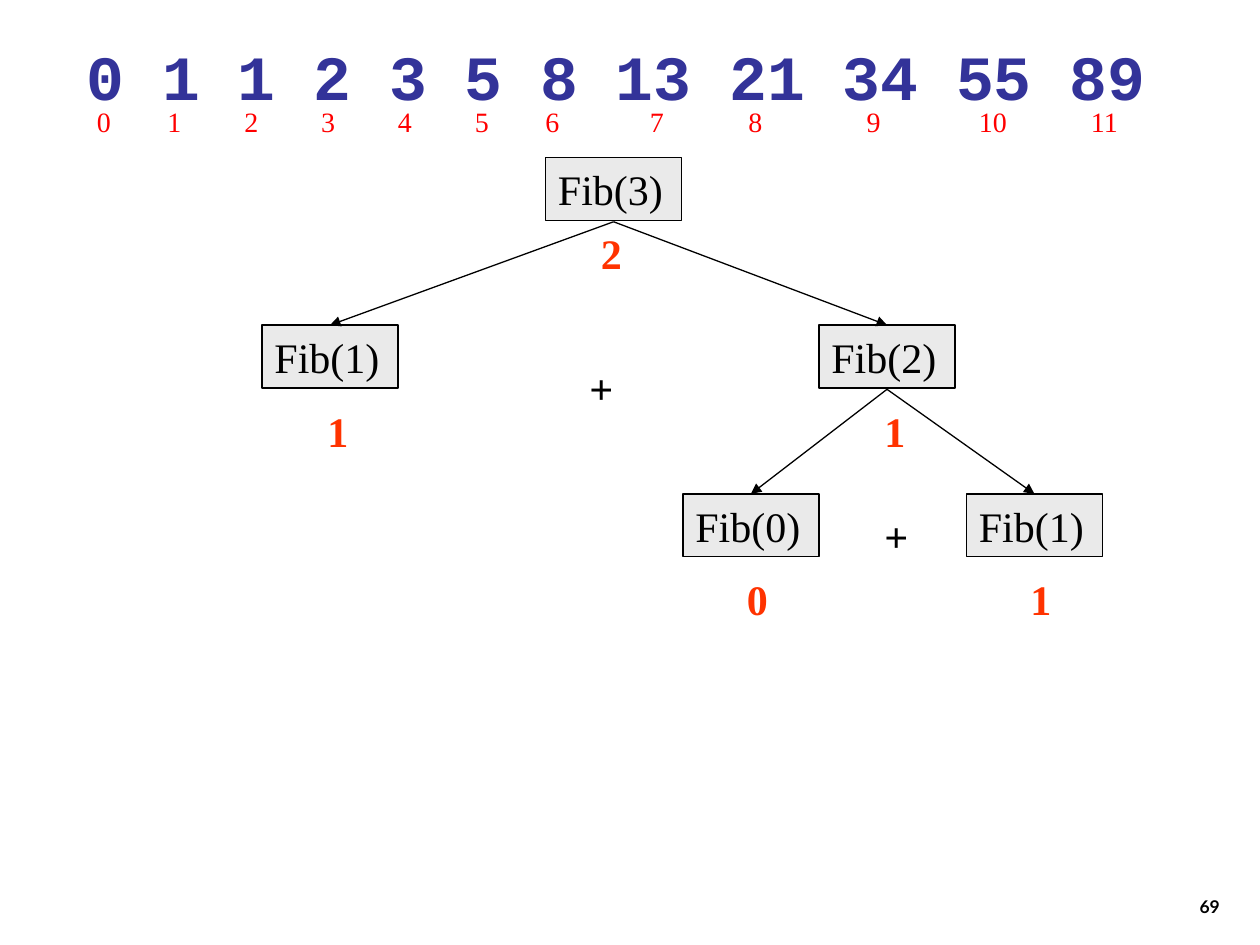
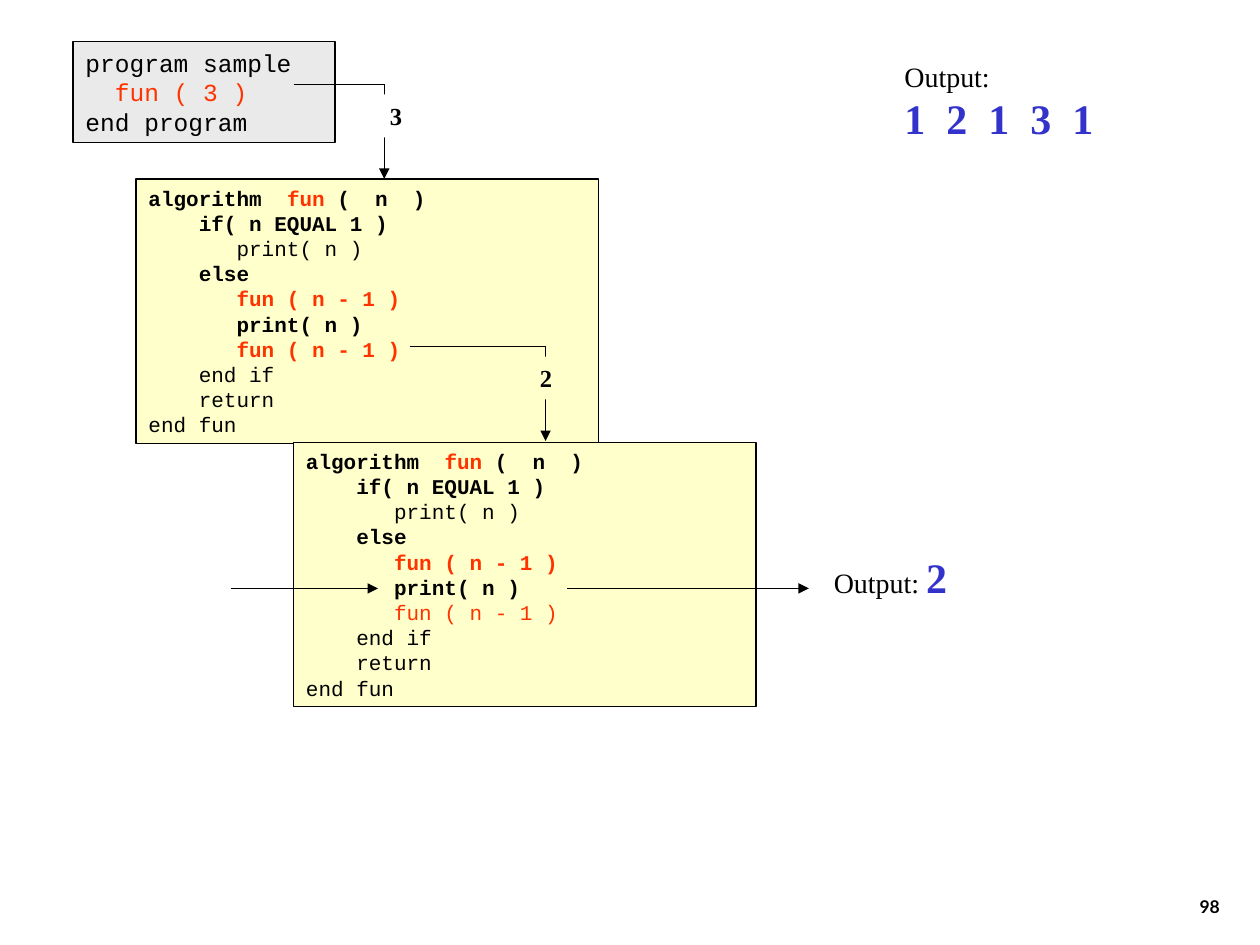
import pptx
import pptx.dml.color
import pptx.enum.shapes
import pptx.enum.text
import pptx.oxml.ns
import pptx.util
from lxml import etree

Inches = pptx.util.Inches
ALIGN = pptx.enum.text.PP_ALIGN
ANCHOR = pptx.enum.text.MSO_ANCHOR
qn = pptx.oxml.ns.qn

BLACK, WHITE = "000000", "FFFFFF"
GREY, CREAM = "EAEAEA", "FFFFCC"
ORANGE, RED = "FF3300", "FF0000"
NAVY, BLUE = "333399", "3333CC"
SERIF, MONO, SANS = "Times New Roman", "Courier New", "Lato"


def rgb(value):
    return pptx.dml.color.RGBColor.from_string(value)


def run(text, color=BLACK, size=24, name=SERIF, bold=False):
    """A piece of text with its format values."""
    return text, color, {"size": pptx.util.Pt(size), "name": name, "bold": bold}


class Deck:
    """Holds the shared style and the current slide."""

    def __init__(self, width, height):
        self.prs = pptx.Presentation()
        self.prs.slide_width = Inches(width)
        self.prs.slide_height = Inches(height)

    def new_slide(self, number):
        self.s = self.prs.slides.add_slide(self.prs.slide_layouts[6])
        self.text([[run(number, size=10, name=SANS, bold=True)]],
                  7.7, 6.83, 2.08, 0.5, align=ALIGN.RIGHT, anchor=ANCHOR.BOTTOM)

    def fill_text(self, sp, lines, align=ALIGN.LEFT, anchor=ANCHOR.TOP,
                  wrap=True, tabs=()):
        tf = sp.text_frame
        frame = {"word_wrap": wrap, "vertical_anchor": anchor,
                 "margin_left": Inches(0.1), "margin_right": Inches(0.1),
                 "margin_top": Inches(0.05), "margin_bottom": Inches(0.05)}
        for key, value in frame.items():
            setattr(tf, key, value)
        for i, runs in enumerate(lines):
            p = tf.add_paragraph() if i else tf.paragraphs[0]
            p.alignment = align
            if tabs:
                tab_list = etree.SubElement(p._p.get_or_add_pPr(), qn("a:tabLst"))
                for pos in tabs:
                    etree.SubElement(tab_list, qn("a:tab"),
                                     pos=str(Inches(pos)), algn="l")
            for text, color, fmt in runs:
                r = p.add_run()
                r.text = text
                for key, value in fmt.items():
                    setattr(r.font, key, value)
                r.font.color.rgb = rgb(color)

    def text(self, lines, x, y, w, h, **layout):
        sp = self.s.shapes.add_textbox(Inches(x), Inches(y), Inches(w), Inches(h))
        self.fill_text(sp, lines, **layout)

    def box(self, lines, x, y, w, h, fill, border=True, **layout):
        sp = self.s.shapes.add_shape(pptx.enum.shapes.MSO_SHAPE.RECTANGLE,
                                     Inches(x), Inches(y), Inches(w), Inches(h))
        sp.shadow.inherit = False
        sp.fill.solid()
        sp.fill.fore_color.rgb = rgb(fill)
        if border:
            sp.line.color.rgb = rgb(BLACK)
            sp.line.width = pptx.util.Pt(0.75)
        else:
            sp.line.fill.background()
        self.fill_text(sp, lines, **layout)

    def line(self, x1, y1, x2, y2, arrow=True):
        cn = self.s.shapes.add_connector(
            pptx.enum.shapes.MSO_CONNECTOR.STRAIGHT,
            Inches(x1), Inches(y1), Inches(x2), Inches(y2))
        cn.line.color.rgb = rgb(BLACK)
        cn.line.width = pptx.util.Pt(0.75)
        if arrow:
            etree.SubElement(cn.line._get_or_add_ln(), qn("a:tailEnd"), type="triangle")
        etree.SubElement(cn._element.spPr, qn("a:effectLst"))

    def call(self, x1, x2, y, value, label_x, label_w, fill):
        """Bent arrow from a call to the called code, with the passed value."""
        self.line(x1, y, x2, y, arrow=False)
        self.line(x2, y, x2, y + 0.75)
        self.box([[run(value, size=14, bold=True)]], label_x, y + 0.08, label_w, 0.34,
                 fill, border=False, align=ALIGN.RIGHT)


def fun_code(last_call_bold):
    """Lines of the recursive algorithm."""
    def code(text, color=BLACK, bold=False):
        return run(text, color, 12, MONO, bold)

    return [
        [code("algorithm  ", bold=True), code("fun ", ORANGE, True),
         code("(  n  )", bold=True)],
        [code("    if( n EQUAL 1 )", bold=True)],
        [code("       print( n )")],
        [code("    else", bold=True)],
        [code("       fun ( n - 1 )", ORANGE, True)],
        [code("       print( n )", bold=True)],
        [code("       fun ( n - 1 )", ORANGE, last_call_bold)],
        [code("    end if")],
        [code("    return")],
        [code("end fun")],
    ]


def fibonacci_tree(deck):
    deck.new_slide("69")

    # Sequence with its indices
    deck.text([[run("0 1 1 2 3 5 8 13 21 34 55 89", NAVY, 36, MONO, True)]],
              0.59, 0.25, 8.9, 0.7, wrap=False)
    index_tabs = [0.56, 1.17, 1.78, 2.39, 3, 3.56, 4.39, 5.17, 6.11, 7, 7.89]
    deck.text([[run("\t".join(map(str, range(12))), RED, 16)]],
              0.67, 0.78, 8.72, 0.37, tabs=index_tabs)

    # Calls: label, result, box corner, offset of the result, parent
    nodes = [
        ("Fib(3)", "2", 4.33, 1.25, 0.34, 0.51, None),
        ("Fib(1)", "1", 2.08, 2.58, 0.42, 0.59, 0),
        ("Fib(2)", "1", 6.5, 2.58, 0.42, 0.59, 0),
        ("Fib(0)", "0", 5.42, 3.92, 0.41, 0.58, 2),
        ("Fib(1)", "1", 7.67, 3.92, 0.41, 0.58, 2),
    ]
    width, height = 1.08, 0.5
    for label, result, x, y, dx, dy, parent in nodes:
        deck.box([[run(label)]], x, y, width, height, GREY)
        deck.text([[run(result, ORANGE, bold=True)]], x + dx, y + dy, 0.42, 0.5)
        if parent is not None:
            px, py = nodes[parent][2:4]
            deck.line(px + width / 2, py + height + 0.01, x + width / 2, y)

    # Sums
    for x, y in [(4.58, 2.83), (6.92, 4)]:
        deck.text([[run("+", bold=True)]], x, y, 0.48, 0.5)


def recursion_trace(deck):
    deck.new_slide("98")

    # Code of the two calls and of the main program
    for x, y, last_call_bold in [(1.08, 1.42, True), (2.33, 3.51, False)]:
        deck.box(fun_code(last_call_bold), x, y, 3.67, 2.1, CREAM)
    program = [("program sample", BLACK), ("  fun ( 3 )", ORANGE), ("end program", BLACK)]
    deck.box([[run(text, color, 14, MONO)] for text, color in program],
             0.58, 0.33, 2.08, 0.8, GREY)

    # Passed values
    deck.call(2.33, 3.05, 0.67, "3", 2.9, 0.39, WHITE)
    deck.call(3.25, 4.33, 2.75, "2", 4.04, 0.44, CREAM)

    # Current statement and its output
    for x1, x2 in [(1.83, 3), (4.5, 6.42)]:
        deck.line(x1, 4.67, x2, 4.67)
    deck.text([[run("Output: ", size=16), run("2", BLUE, bold=True)]],
              6.52, 4.33, 1.1, 0.5, wrap=False)

    # Output so far
    deck.text([[run("Output:", size=16)],
               [run("\t".join("12131"), BLUE, bold=True)]],
              7.08, 0.42, 2.42, 0.77, tabs=[i / 3 for i in range(1, 5)])


def main():
    deck = Deck(10, 7.5)
    fibonacci_tree(deck)
    recursion_trace(deck)
    deck.prs.save("out.pptx")


if __name__ == "__main__":
    main()
